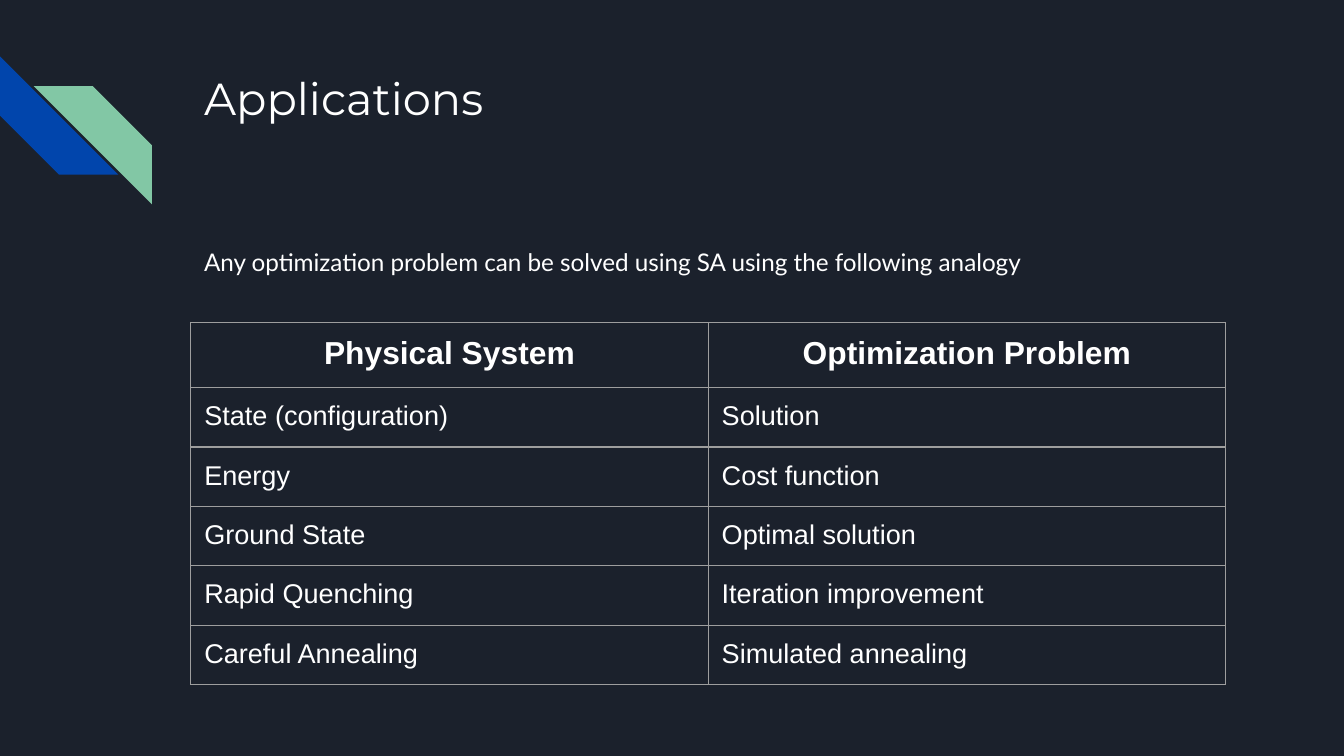
from dataclasses import dataclass

from lxml import etree
from pptx import Presentation
from pptx import util as u
from pptx.dml.color import RGBColor
from pptx.enum import shapes, text
from pptx.oxml.ns import qn


@dataclass(frozen=True)
class Theme:
    background: str = "1B212C"
    ink: str = "FFFFFF"
    blue: str = "0145AC"
    green: str = "82C7A5"
    border: str = "9E9E9E"
    border_width: float = 0.75
    title_size: float = 24
    body_size: float = 13
    header_size: float = 17
    cell_size: float = 14.5


theme = Theme()


def write(paragraph, words, font_name, size, bold=False):
    run = paragraph.add_run()
    run.text = words
    run.font.name = font_name
    run.font.size = u.Pt(size)
    run.font.bold = bold
    run.font.color.rgb = RGBColor.from_string(theme.ink)


def outline(cell):
    properties = cell._tc.get_or_add_tcPr()
    for side in ("lnL", "lnR", "lnT", "lnB"):
        line = etree.SubElement(properties, qn(f"a:{side}"), w=str(u.Pt(theme.border_width)))
        fill = etree.SubElement(line, qn("a:solidFill"))
        etree.SubElement(fill, qn("a:srgbClr"), val=theme.border)


deck = Presentation()
deck.slide_width = u.Inches(10)
deck.slide_height = deck.slide_width * 9 // 16
slide = deck.slides.add_slide(deck.slide_layouts[6])
slide.background.fill.solid()
slide.background.fill.fore_color.rgb = RGBColor.from_string(theme.background)

stripe_size = u.Inches(0.88)
for left, top, rotation, color in (
    (0, 0.42, 270, theme.blue),
    (0.25, 0.64, 90, theme.green),
):
    stripe = slide.shapes.add_shape(
        shapes.MSO_SHAPE.DIAGONAL_STRIPE, u.Inches(left), u.Inches(top), stripe_size, stripe_size
    )
    stripe.rotation = rotation
    stripe.shadow.inherit = False
    stripe.fill.solid()
    stripe.fill.fore_color.rgb = RGBColor.from_string(color)
    stripe.line.fill.background()

content_left, content_width = u.Inches(1.42), u.Inches(7.7)
inset = u.Inches(0.1)

for top, height, words, font_name, size, spacing in (
    (0.43, 1, "Applications", "Montserrat", theme.title_size, 1.0),
    (1.71, 3.18, "Any optimization problem can be solved using SA using the following analogy",
     "Lato", theme.body_size, 1.15),
):
    box = slide.shapes.add_textbox(content_left, u.Inches(top), content_width, u.Inches(height))
    frame = box.text_frame
    frame.word_wrap = True
    frame.margin_left = frame.margin_right = frame.margin_top = frame.margin_bottom = inset
    frame.paragraphs[0].line_spacing = spacing
    write(frame.paragraphs[0], words, font_name, size)

analogy_rows = (
    ("Physical System", "Optimization Problem"),
    ("State (configuration)", "Solution"),
    ("Energy", "Cost function"),
    ("Ground State", "Optimal solution"),
    ("Rapid Quenching", "Iteration improvement"),
    ("Careful Annealing", "Simulated annealing"),
)
analogy = slide.shapes.add_table(
    len(analogy_rows), 2, content_left, u.Inches(2.4), content_width, u.Inches(2.5)
).table
analogy.horz_banding = False

for row_index, row_words in enumerate(analogy_rows):
    is_header = row_index == 0
    analogy.rows[row_index].height = u.Inches(0.45 if is_header else 0.41)
    for column_index, words in enumerate(row_words):
        cell = analogy.cell(row_index, column_index)
        outline(cell)
        cell.fill.background()
        cell.margin_left = cell.margin_right = cell.margin_top = cell.margin_bottom = inset
        paragraph = cell.text_frame.paragraphs[0]
        paragraph.alignment = text.PP_ALIGN.CENTER if is_header else text.PP_ALIGN.LEFT
        size = theme.header_size if is_header else theme.cell_size
        write(paragraph, words, "Arial", size, is_header)

deck.save("out.pptx")
